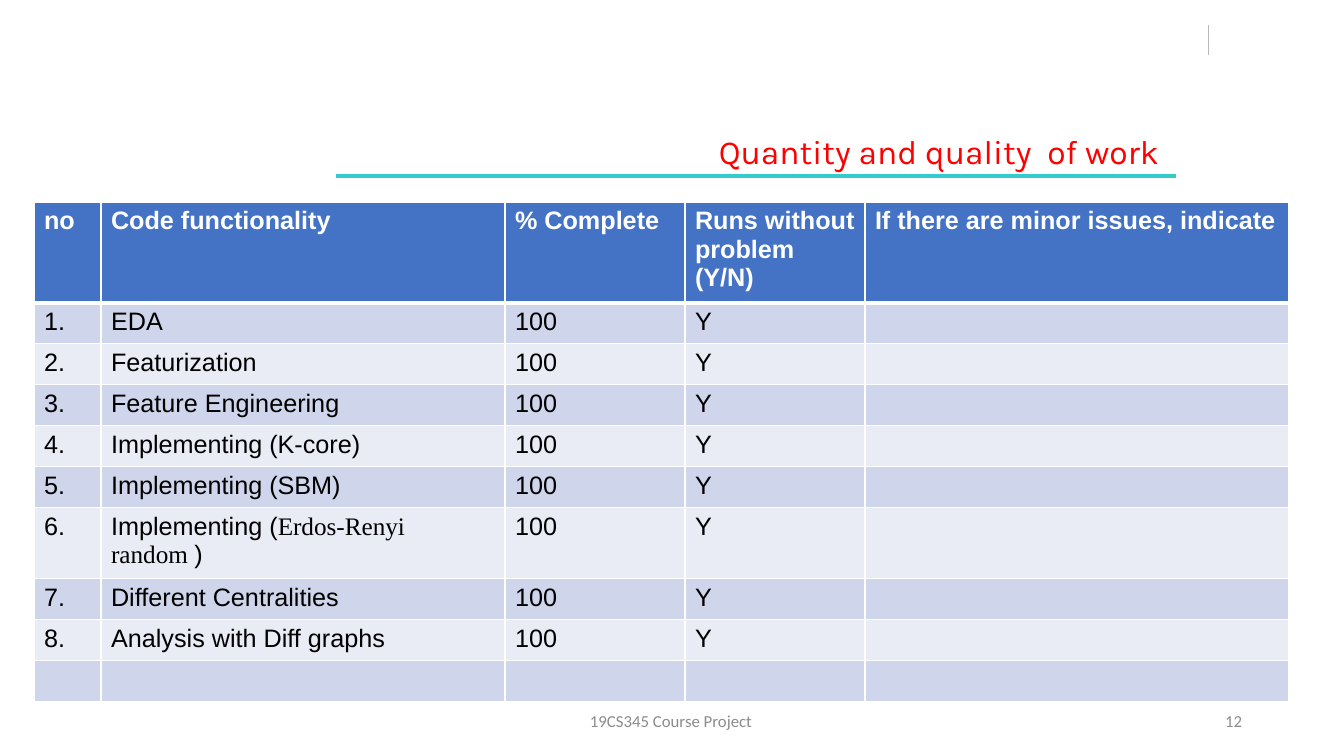
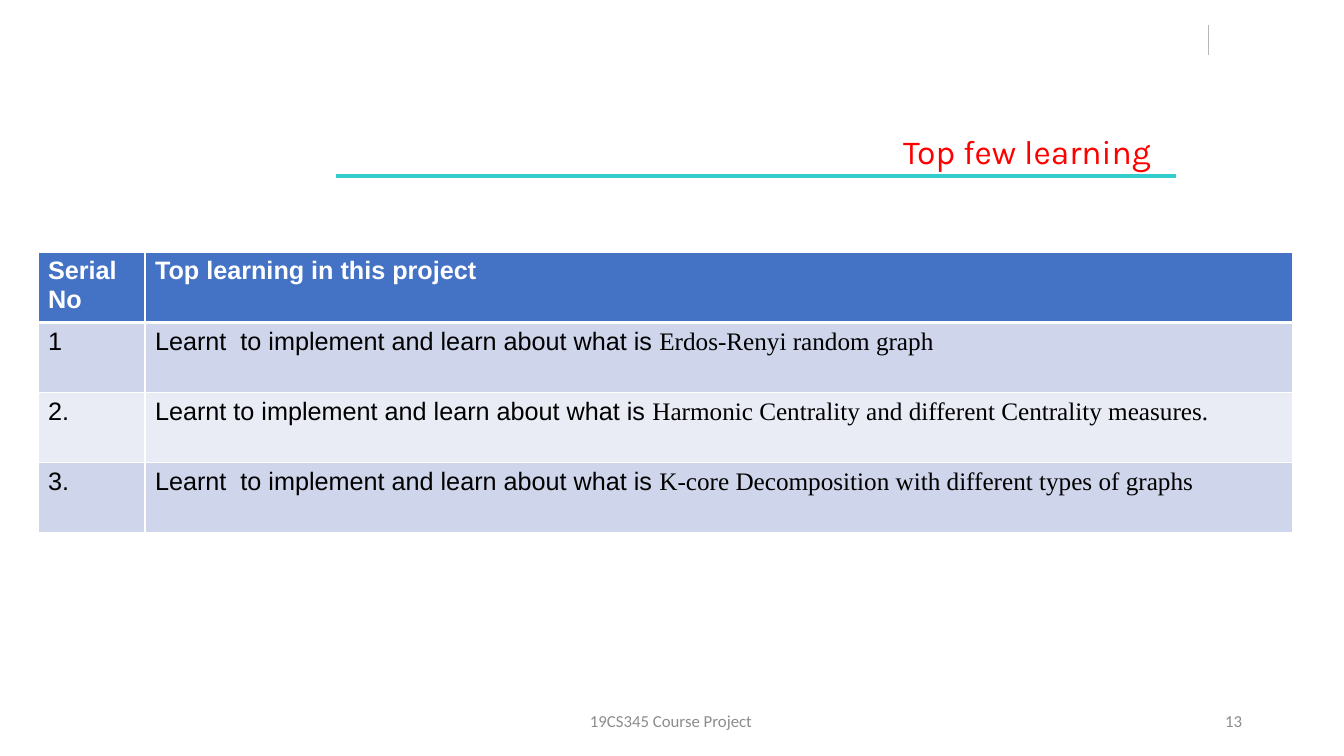
from dataclasses import dataclass

from lxml import etree
from pptx import Presentation
from pptx.dml.color import RGBColor
from pptx.enum.shapes import MSO_CONNECTOR, MSO_SHAPE
from pptx.enum.text import MSO_ANCHOR, PP_ALIGN
from pptx.oxml.ns import qn
from pptx.util import Emu, Pt

STRAIGHT = MSO_CONNECTOR.STRAIGHT
RECTANGLE = MSO_SHAPE.RECTANGLE
TOP, MIDDLE = MSO_ANCHOR.TOP, MSO_ANCHOR.MIDDLE
CENTER, RIGHT = PP_ALIGN.CENTER, PP_ALIGN.RIGHT

PX_PER_INCH = 100.8
SLIDE_SIZE = (1344, 756)
BLANK_LAYOUT = 6


@dataclass(frozen=True)
class Theme:
    """Colours, fonts and sizes shared by the slides."""

    title: str = "FF0000"
    rule: str = "33CCCC"
    divider: str = "B7B7B7"
    footer: str = "8C8C8C"
    header: str = "4472C4"
    bands: tuple = ("CFD5EA", "E9EBF5")
    white: str = "FFFFFF"
    black: str = "000000"
    title_font: str = "Karla"
    body_font: str = "Arial"
    term_font: str = "Times New Roman"
    footer_font: str = "Calibri"
    title_size: int = 24
    body_size: int = 18
    footer_size: int = 12
    divider_width: float = 0.75
    grid_width: int = 1
    header_line_width: int = 3


THEME = Theme()


def px(length):
    """Turn a length in px into EMU."""
    return Emu(round(length * 914400 / PX_PER_INCH))


def color(value):
    """Make a colour from its hex digits."""
    return RGBColor.from_string(value)


def add_run(paragraph, text, font, size, tint, bold=False):
    """Append one styled run to a paragraph."""
    run = paragraph.add_run()
    run.text = text
    run.font.name = font
    run.font.size = Pt(size)
    run.font.bold = bold
    run.font.color.rgb = color(tint)


def add_label(slide, box, text, style, align, anchor=TOP):
    """Place a one-line text box."""
    frame = slide.shapes.add_textbox(*map(px, box)).text_frame
    frame.word_wrap = True
    frame.vertical_anchor = anchor
    paragraph = frame.paragraphs[0]
    paragraph.alignment = align
    add_run(paragraph, text, *style)


def add_title(slide, box, text):
    """Place the red title and the rule near the bottom of its box."""
    left, top, width, height = box
    inset = 16
    rule = slide.shapes.add_shape(
        RECTANGLE, px(left + inset), px(top + height - 2), px(width - inset - 1), px(4))
    rule.shadow.inherit = False
    rule.fill.solid()
    rule.fill.fore_color.rgb = color(THEME.rule)
    rule.line.fill.background()
    style = (THEME.title_font, THEME.title_size, THEME.title)
    add_label(slide, box, text, style, RIGHT)


def add_divider(slide, left, top, height):
    """Draw the thin vertical line in the top corner."""
    line = slide.shapes.add_connector(
        STRAIGHT, px(left), px(top), px(left), px(top + height))
    line.line.color.rgb = color(THEME.divider)
    line.line.width = Pt(THEME.divider_width)
    etree.SubElement(line._element.spPr, qn("a:effectLst"))


def add_footer(slide, box, number):
    """Place the course name and the right-aligned slide number."""
    left, top, width, height = box
    course_width, number_width = 454, 302
    style = (THEME.footer_font, THEME.footer_size, THEME.footer)
    add_label(slide, (left, top, course_width, height),
              "19CS345 Course Project ", style, CENTER, MIDDLE)
    add_label(slide, (left + width - number_width, top, number_width, height),
              str(number), style, RIGHT, MIDDLE)


def plain(*lines):
    """Describe a cell with one body-font paragraph per line."""
    return [[(line, THEME.body_font)] for line in lines]


def with_term(before, term, after=""):
    """Describe a cell whose term is set in the serif font."""
    runs = [(before, THEME.body_font), (term, THEME.term_font)]
    return [runs + [(after, THEME.body_font)] if after else runs]


def set_borders(cell, row_index):
    """Draw white cell borders, thicker below the header row."""
    thick = {0: "lnB", 1: "lnT"}.get(row_index)
    properties = cell._tc.get_or_add_tcPr()
    for side in ("lnL", "lnR", "lnT", "lnB"):
        width = THEME.header_line_width if side == thick else THEME.grid_width
        line = etree.SubElement(properties, qn(f"a:{side}"), w=str(Pt(width)))
        fill = etree.SubElement(line, qn("a:solidFill"))
        etree.SubElement(fill, qn("a:srgbClr"), val=THEME.white)


def fill_cell(cell, paragraphs, row_index):
    """Style a cell by its row and write its paragraphs."""
    is_header = row_index == 0
    set_borders(cell, row_index)
    cell.fill.solid()
    fill = THEME.header if is_header else THEME.bands[(row_index - 1) % 2]
    cell.fill.fore_color.rgb = color(fill)
    tint = THEME.white if is_header else THEME.black
    frame = cell.text_frame
    for index, runs in enumerate(paragraphs):
        paragraph = frame.add_paragraph() if index else frame.paragraphs[0]
        for text, font in runs:
            add_run(paragraph, text, font, THEME.body_size, tint, is_header)


def add_grid(slide, origin, widths, row_height, rows):
    """Place a banded table with its header row at the origin."""
    left, top = origin
    table = slide.shapes.add_table(
        len(rows), len(widths), px(left), px(top),
        px(sum(widths)), px(row_height * len(rows))).table
    for column, width in zip(table.columns, widths):
        column.width = px(width)
    for row_index, cells in enumerate(rows):
        table.rows[row_index].height = px(row_height)
        for column_index, paragraphs in enumerate(cells):
            fill_cell(table.cell(row_index, column_index), paragraphs, row_index)


def add_base_slide(presentation, title, number):
    """Add a slide with the shared divider, title and footer."""
    slide = presentation.slides.add_slide(presentation.slide_layouts[BLANK_LAYOUT])
    add_divider(slide, 1209, 25, 30)
    add_title(slide, (320, 126, 857, 50), title)
    add_footer(slide, (446, 701, 806, 40), number)
    return slide


def add_work_slide(presentation):
    """Build the slide on quantity and quality of work."""
    slide = add_base_slide(presentation, "Quantity and quality  of work ", 12)
    headings = ("no", "Code functionality", "% Complete",
                "Runs without problem  (Y/N)", "If there are minor issues, indicate")
    tasks = [
        plain("EDA"),
        plain("Featurization"),
        plain("Feature Engineering"),
        plain("Implementing (K-core)"),
        plain("Implementing (SBM)"),
        with_term("Implementing (", "Erdos-Renyi random ", ")"),
        plain("Different Centralities"),
        plain("Analysis with Diff graphs"),
    ]
    rows = [[plain(heading) for heading in headings]]
    for number, task in enumerate(tasks, 1):
        rows.append([plain(f"{number}."), task, plain("100"), plain("Y"), []])
    rows.append([[] for _ in headings])
    add_grid(slide, (34, 202), (67, 404, 180, 180, 424), 41, rows)


def add_learning_slide(presentation):
    """Build the slide on the top learning."""
    slide = add_base_slide(presentation, "Top few learning  ", 13)
    rows = [
        [plain("Serial", "No"), plain("Top learning in this project")],
        [plain("1"), with_term("Learnt  to implement and learn about what is ",
                               "Erdos-Renyi random graph")],
        [plain("2."), with_term("Learnt to implement and learn about what is ",
                                "Harmonic Centrality and different Centrality measures.")],
        [plain("3."), with_term("Learnt  to implement and learn about what is ",
                                "K-core Decomposition with different types of graphs")],
    ]
    add_grid(slide, (38, 252), (107, 1148), 70, rows)


def main():
    """Build and save the presentation."""
    presentation = Presentation()
    presentation.slide_width, presentation.slide_height = map(px, SLIDE_SIZE)
    add_work_slide(presentation)
    add_learning_slide(presentation)
    presentation.save("out.pptx")


if __name__ == "__main__":
    main()
